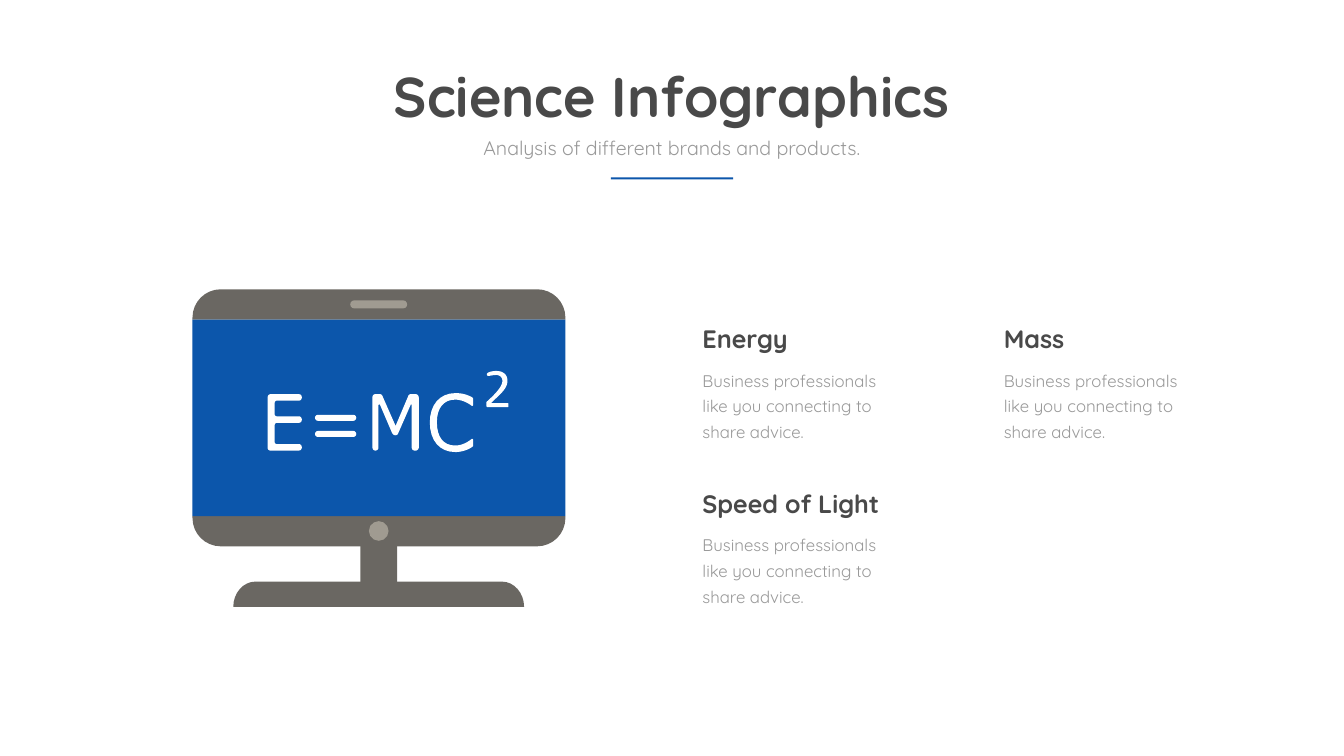
from dataclasses import dataclass

from pptx import Presentation
from pptx.dml.color import RGBColor
from pptx.enum.shapes import MSO_SHAPE
from pptx.enum.text import MSO_ANCHOR, MSO_AUTO_SIZE, PP_ALIGN
from pptx.util import Inches, Pt

RECTANGLE, ROUNDED, OVAL = MSO_SHAPE.RECTANGLE, MSO_SHAPE.ROUNDED_RECTANGLE, MSO_SHAPE.OVAL
LEFT, CENTER = PP_ALIGN.LEFT, PP_ALIGN.CENTER
TOP = MSO_ANCHOR.TOP
FIT_SHAPE = MSO_AUTO_SIZE.SHAPE_TO_FIT_TEXT


@dataclass(frozen=True)
class Theme:
    font: str = "Quicksand"
    dark: str = "494949"
    muted: str = "999999"
    accent: str = "0C56AB"
    frame: str = "6A6762"
    detail: str = "A09B91"
    white: str = "FFFFFF"
    title: float = 80
    subtitle: float = 28
    heading: float = 36
    body: float = 24
    body_leading: float = 36.6


THEME = Theme()
CURVE_STEPS = 8
ROUND = 0.55

TOPICS = [("Energy", 13.84, 6.36), ("Mass", 19.82, 6.36), ("Speed of Light", 13.84, 9.63)]
TOPIC_TEXT = "Business professionals like you connecting to share advice."

LETTER_E = """M 5.93 8.94 L 5.37 8.94 C 5.34 8.94 5.31 8.92 5.31 8.88 L 5.31 7.89
    C 5.31 7.85 5.34 7.82 5.37 7.82 L 5.93 7.82 C 6.01 7.82 6.01 7.95 5.93 7.95 L 5.49 7.95
    C 5.47 7.95 5.45 7.97 5.45 8 L 5.45 8.22 C 5.45 8.24 5.47 8.26 5.49 8.26 L 5.93 8.26
    C 6.01 8.26 6.01 8.39 5.93 8.39 L 5.49 8.39 C 5.47 8.39 5.45 8.41 5.45 8.44 L 5.45 8.77
    C 5.45 8.79 5.47 8.81 5.49 8.81 L 5.93 8.81 C 6.01 8.81 6.01 8.94 5.93 8.94"""
LETTER_M = """M 8.25 8.94 L 8.23 8.94 C 8.2 8.94 8.17 8.92 8.17 8.88 L 8.17 8.04
    C 8.17 8.02 8.15 8.02 8.15 8.03 L 7.9 8.6 C 7.88 8.65 7.81 8.65 7.78 8.59 L 7.54 8.03
    C 7.53 8.02 7.51 8.02 7.51 8.04 L 7.51 8.88 C 7.51 8.96 7.39 8.96 7.39 8.88 L 7.39 7.89
    C 7.39 7.85 7.41 7.82 7.45 7.82 L 7.53 7.82 C 7.56 7.82 7.58 7.83 7.59 7.86 L 7.85 8.45
    L 8.1 7.86 C 8.11 7.83 8.13 7.82 8.16 7.82 L 8.25 7.82 C 8.28 7.82 8.31 7.85 8.31 7.89
    L 8.31 8.88 C 8.31 8.91 8.28 8.94 8.25 8.94"""
LETTER_C = """M 9.39 8.85 C 9.32 8.92 9.16 8.97 9.04 8.97 C 8.72 8.97 8.53 8.74 8.53 8.38
    C 8.53 8.04 8.72 7.8 9.04 7.8 C 9.17 7.8 9.28 7.83 9.38 7.89 L 9.39 7.91 L 9.39 8.03
    C 9.39 8.05 9.37 8.06 9.36 8.05 C 9.25 7.97 9.14 7.93 9.03 7.93
    C 8.8 7.93 8.67 8.1 8.67 8.38 C 8.67 8.67 8.8 8.84 9.03 8.84
    C 9.14 8.84 9.25 8.8 9.36 8.71 C 9.37 8.7 9.39 8.71 9.39 8.73"""
SQUARE_SIGN = """M 10.08 8 L 9.74 8 L 9.93 7.82 C 10.03 7.71 10.07 7.65 10.07 7.55
    C 10.07 7.43 9.98 7.36 9.85 7.36 C 9.78 7.36 9.66 7.38 9.66 7.43
    C 9.67 7.49 9.73 7.44 9.85 7.44 C 9.92 7.44 9.97 7.49 9.97 7.56
    C 9.97 7.66 9.85 7.8 9.66 7.97 C 9.65 7.98 9.65 7.99 9.65 8 L 9.65 8.04
    C 9.65 8.06 9.66 8.08 9.68 8.08 L 10.07 8.08 C 10.08 8.08 10.09 8.07 10.09 8.06
    L 10.09 8.02 C 10.09 8.01 10.09 8 10.08 8"""


def set_attributes(target, values):
    for name, value in values.items():
        setattr(target, name, value)


def write_text(box, text, size, color, bold=False, align=LEFT, wrap=True, leading=None):
    frame = box.text_frame
    set_attributes(frame, {"word_wrap": wrap, "auto_size": FIT_SHAPE, "vertical_anchor": TOP})
    para = frame.paragraphs[0]
    set_attributes(para, {"alignment": align, "line_spacing": Pt(leading) if leading else 1.0})
    span = para.add_run()
    span.text = text
    set_attributes(span.font, {"name": THEME.font, "size": Pt(size), "bold": bold})
    span.font.color.rgb = RGBColor.from_string(color)


def add_text(shapes, bounds, text, size, color, **style):
    box = shapes.add_textbox(*map(Inches, bounds))
    write_text(box, text, size, color, **style)


def paint(shape, color):
    shape.shadow.inherit = False
    shape.fill.solid()
    shape.fill.fore_color.rgb = RGBColor.from_string(color)
    shape.line.fill.background()


def add_block(page, kind, bounds, color):
    shape = page.shapes.add_shape(kind, *map(Inches, bounds))
    if kind == ROUNDED:
        shape.adjustments[0] = 0.5
    paint(shape, color)


def curve_points(start, first, second, end):
    for step in range(1, CURVE_STEPS + 1):
        t = step / CURVE_STEPS
        weights = ((1 - t) ** 3, 3 * t * (1 - t) ** 2, 3 * t * t * (1 - t), t ** 3)
        corners = (start, first, second, end)
        yield tuple(sum(w * corner[axis] for w, corner in zip(weights, corners)) for axis in (0, 1))


def outline_points(outline):
    tokens = iter(outline.split())
    points = []
    for command in tokens:
        count = 3 if command == "C" else 1
        targets = [(float(next(tokens)), float(next(tokens))) for _ in range(count)]
        points.extend(list(curve_points(points[-1], *targets)) if command == "C" else targets)
    return points


def add_outline(page, points, color):
    corners = [(Inches(x), Inches(y)) for x, y in points]
    builder = page.shapes.build_freeform(*corners[0], scale=1.0)
    builder.add_line_segments(corners[1:], close=True)
    paint(builder.convert_to_shape(), color)


def add_cap(page, left, right, flat_y, round_y, radius_x, radius_y, color):
    inner = radius_y if round_y > flat_y else -radius_y
    shoulder = round_y - inner
    pull_x, pull_y = radius_x * (1 - ROUND), inner * (1 - ROUND)
    points = [(left, flat_y), (left, shoulder)]
    points += curve_points((left, shoulder), (left, round_y - pull_y),
                           (left + pull_x, round_y), (left + radius_x, round_y))
    points.append((right - radius_x, round_y))
    points += curve_points((right - radius_x, round_y), (right - pull_x, round_y),
                           (right, round_y - pull_y), (right, shoulder))
    points.append((right, flat_y))
    add_outline(page, points, color)


def add_topic(page, heading, left, top):
    shapes = page.shapes.add_group_shape().shapes
    add_text(shapes, (left, top + 0.83, 3.99, 1.63), TOPIC_TEXT, THEME.body, THEME.muted,
             leading=THEME.body_leading)
    add_text(shapes, (left, top, 3.99, 0.71), heading, THEME.heading, THEME.dark, bold=True)


def add_header(page):
    title = page.shapes.title
    bounds = map(Inches, (7.49, 1.17, 11.67, 1.45))
    set_attributes(title, dict(zip(("left", "top", "width", "height"), bounds)))
    write_text(title, "Science Infographics", THEME.title, THEME.dark,
               bold=True, align=CENTER, wrap=False)
    add_text(page.shapes, (8.55, 2.65, 9.56, 0.57), "Analysis of different brands and products.",
             THEME.subtitle, THEME.muted, align=CENTER)
    add_block(page, RECTANGLE, (12.12, 3.52, 2.43, 0.04), THEME.accent)


def add_monitor(page):
    add_block(page, ROUNDED, (7.15, 8.58, 0.73, 3.34), THEME.frame)
    add_cap(page, 3.82, 11.22, 6.34, 5.74, 0.56, 0.56, THEME.frame)
    add_cap(page, 3.82, 11.22, 10.24, 10.84, 0.56, 0.56, THEME.frame)
    add_block(page, RECTANGLE, (3.82, 6.34, 7.4, 3.9), THEME.accent)
    add_block(page, ROUNDED, (6.95, 5.96, 1.13, 0.16), THEME.detail)
    add_block(page, OVAL, (7.32, 10.34, 0.39, 0.39), THEME.detail)
    add_cap(page, 4.63, 10.4, 12.04, 11.54, 0.44, 0.5, THEME.frame)


def add_formula(page):
    for top in (8.23, 8.55):
        add_block(page, ROUNDED, (6.25, top, 0.82, 0.12), THEME.white)
    for outline in (LETTER_E, LETTER_M, LETTER_C, SQUARE_SIGN):
        add_outline(page, outline_points(outline), THEME.white)


def main():
    deck = Presentation()
    set_attributes(deck, {"slide_width": Inches(26.67), "slide_height": Inches(15)})
    page = deck.slides.add_slide(deck.slide_layouts[5])
    for topic in TOPICS:
        add_topic(page, *topic)
    add_header(page)
    add_monitor(page)
    add_formula(page)
    deck.save("out.pptx")


if __name__ == "__main__":
    main()
